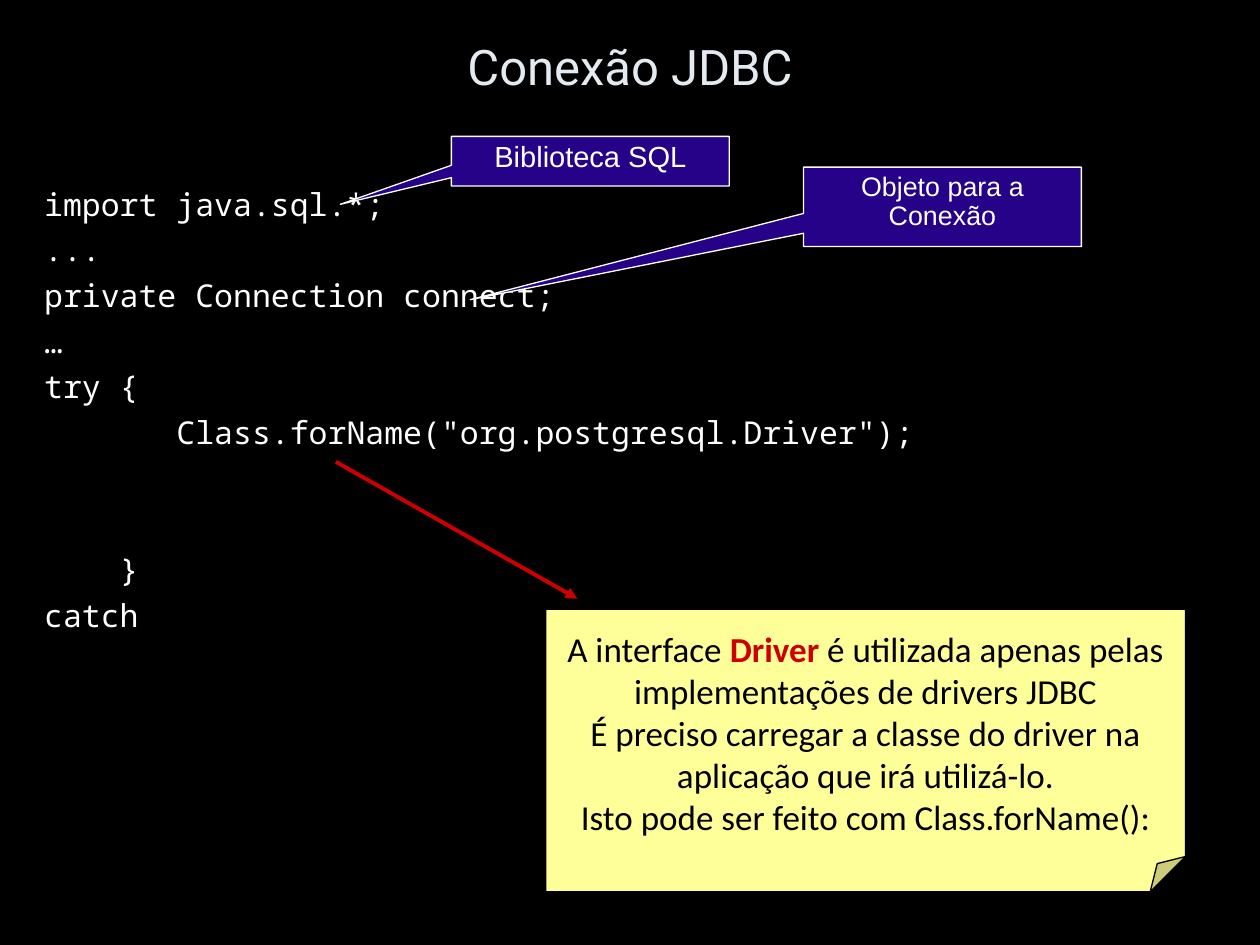
"""Build a slide that explains how a JDBC connection is opened."""
from dataclasses import dataclass

from lxml import etree
from pptx import Presentation
from pptx import util as u
from pptx.dml.color import RGBColor
from pptx.enum import shapes, text
from pptx.oxml.ns import qn

COLOURS = {
    "background": "000000",
    "title": "E3EBF1",
    "code": "FFFFFF",
    "callout": "250288",
    "note": "FFFF99",
    "ink": "000000",
    "accent": "CC0000",
}


@dataclass(frozen=True)
class Area:
    left: float
    top: float
    width: float
    height: float

    def lengths(self) -> list:
        return [u.Cm(value) for value in (self.left, self.top, self.width, self.height)]


@dataclass(frozen=True)
class Style:
    font: str
    size: float
    colour: str
    bold: bool = False


@dataclass(frozen=True)
class CodeLine:
    words: str
    indent: int = 0
    skipped: int = 0


@dataclass(frozen=True)
class Callout:
    words: str
    area: Area
    size: float
    tip: tuple


TITLE = Style("Roboto", 28, "title")
CODE = Style("Noto Sans Mono", 18, "code")
NOTE = Style("Calibri", 20, "ink")
KEYWORD = Style("Calibri", 20, "accent", True)

LINE_HEIGHT, LINE_GAP, CHARACTER_WIDTH = 21.6, 4.5, 10.8

CODE_LINES = [
    CodeLine("import java.sql.*;"),
    CodeLine("..."),
    CodeLine("private Connection connect;"),
    CodeLine("…"),
    CodeLine("try {"),
    CodeLine('Class.forName("org.postgresql.Driver");', indent=7),
    CodeLine("}", indent=4, skipped=2),
    CodeLine("catch"),
]
CALLOUTS = [
    Callout("Biblioteca SQL", Area(9.1, 2.75, 5.6, 1), 16.6, (-0.9, 0.87)),
    Callout("Objeto para a Conexão", Area(16.2, 3.37, 5.6, 1.6), 15.3, (-1.7, 1.17)),
]
NOTE_LINES = [
    [("A interface ", NOTE), ("Driver", KEYWORD), (" é utilizada apenas pelas", NOTE)],
    [("implementações de drivers JDBC", NOTE)],
    [("É preciso carregar a classe do driver na", NOTE)],
    [("aplicação que irá utilizá-lo.", NOTE)],
    [("Isto pode ser feito com Class.forName():", NOTE)],
]


def colour(name: str) -> RGBColor:
    return RGBColor.from_string(COLOURS[name])


def apply(target, values: dict) -> None:
    for name, value in values.items():
        setattr(target, name, value)


def add_span(para, words: str, style: Style) -> None:
    span = para.add_run()
    span.text = words
    apply(span.font, {"name": style.font, "size": u.Pt(style.size), "bold": style.bold})
    span.font.color.rgb = colour(style.colour)


def fill_text(box, lines: list, formats: dict, **frame_values) -> None:
    frame = box.text_frame
    apply(frame, {"word_wrap": True, "vertical_anchor": text.MSO_ANCHOR.TOP, **frame_values})
    for index, spans in enumerate(lines):
        para = frame.add_paragraph() if index else frame.paragraphs[0]
        apply(para, formats)
        for words, style in spans:
            add_span(para, words, style)


def add_panel(page, kind, area: Area, fill: str, line: str):
    panel = page.shapes.add_shape(kind, *area.lengths())
    panel.shadow.inherit = False
    panel.fill.solid()
    panel.fill.fore_color.rgb = colour(fill)
    panel.line.color.rgb = colour(line)
    panel.line.width = u.Pt(0.75)
    return panel


def add_title(page) -> None:
    box = page.shapes.add_textbox(*Area(0, 0.28, 25.4, 2.1).lengths())
    fill_text(box, [[("Conexão JDBC", TITLE)]], {"alignment": text.PP_ALIGN.CENTER},
              vertical_anchor=text.MSO_ANCHOR.MIDDLE)


def add_code(page) -> None:
    box = page.shapes.add_textbox(*Area(0.64, 3.6, 24.13, 14.17).lengths())
    fill_text(box, [[(line.words, CODE)] for line in CODE_LINES],
              {"line_spacing": u.Pt(LINE_HEIGHT)})
    for para, line in zip(box.text_frame.paragraphs, CODE_LINES):
        para.space_before = u.Pt(LINE_GAP + line.skipped * (LINE_HEIGHT + LINE_GAP))
        para._p.get_or_add_pPr().set("marL", str(u.Pt(line.indent * CHARACTER_WIDTH)))


def add_callout(page, callout: Callout) -> None:
    panel = add_panel(page, shapes.MSO_SHAPE.RECTANGULAR_CALLOUT, callout.area, "callout", "code")
    for index, value in enumerate(callout.tip):
        panel.adjustments[index] = value
    fill_text(panel, [[(callout.words, Style("Arial", callout.size, "code"))]],
              {"alignment": text.PP_ALIGN.CENTER, "line_spacing": 0.9})


def add_note(page) -> None:
    panel = add_panel(page, shapes.MSO_SHAPE.FOLDED_CORNER, Area(11, 12.28, 12.9, 5.7),
                      "note", "ink")
    guides = next(panel._element.spPr.iter(qn("a:avLst")))
    etree.SubElement(guides, qn("a:gd"), name="adj", fmla="val 12500")
    fill_text(panel, NOTE_LINES, {"alignment": text.PP_ALIGN.CENTER},
              word_wrap=False, vertical_anchor=text.MSO_ANCHOR.MIDDLE)


def add_arrow(page, start: tuple, end: tuple) -> None:
    arrow = page.shapes.add_connector(
        shapes.MSO_CONNECTOR.STRAIGHT, *[u.Cm(value) for value in start + end])
    arrow.line.color.rgb = colour("accent")
    arrow.line.width = u.Pt(2.25)
    etree.SubElement(arrow.line._get_or_add_ln(), qn("a:tailEnd"), type="triangle")
    etree.SubElement(arrow._element.spPr, qn("a:effectLst"))


def main() -> None:
    deck = Presentation()
    apply(deck, {"slide_width": u.Cm(25.4), "slide_height": u.Cm(19.05)})
    page = deck.slides.add_slide(deck.slide_layouts[6])
    page.background.fill.solid()
    page.background.fill.fore_color.rgb = colour("background")
    add_title(page)
    add_code(page)
    for callout in CALLOUTS:
        add_callout(page, callout)
    add_note(page)
    add_arrow(page, (6.77, 9.31), (11.64, 12.07))
    deck.save("out.pptx")


if __name__ == "__main__":
    main()
